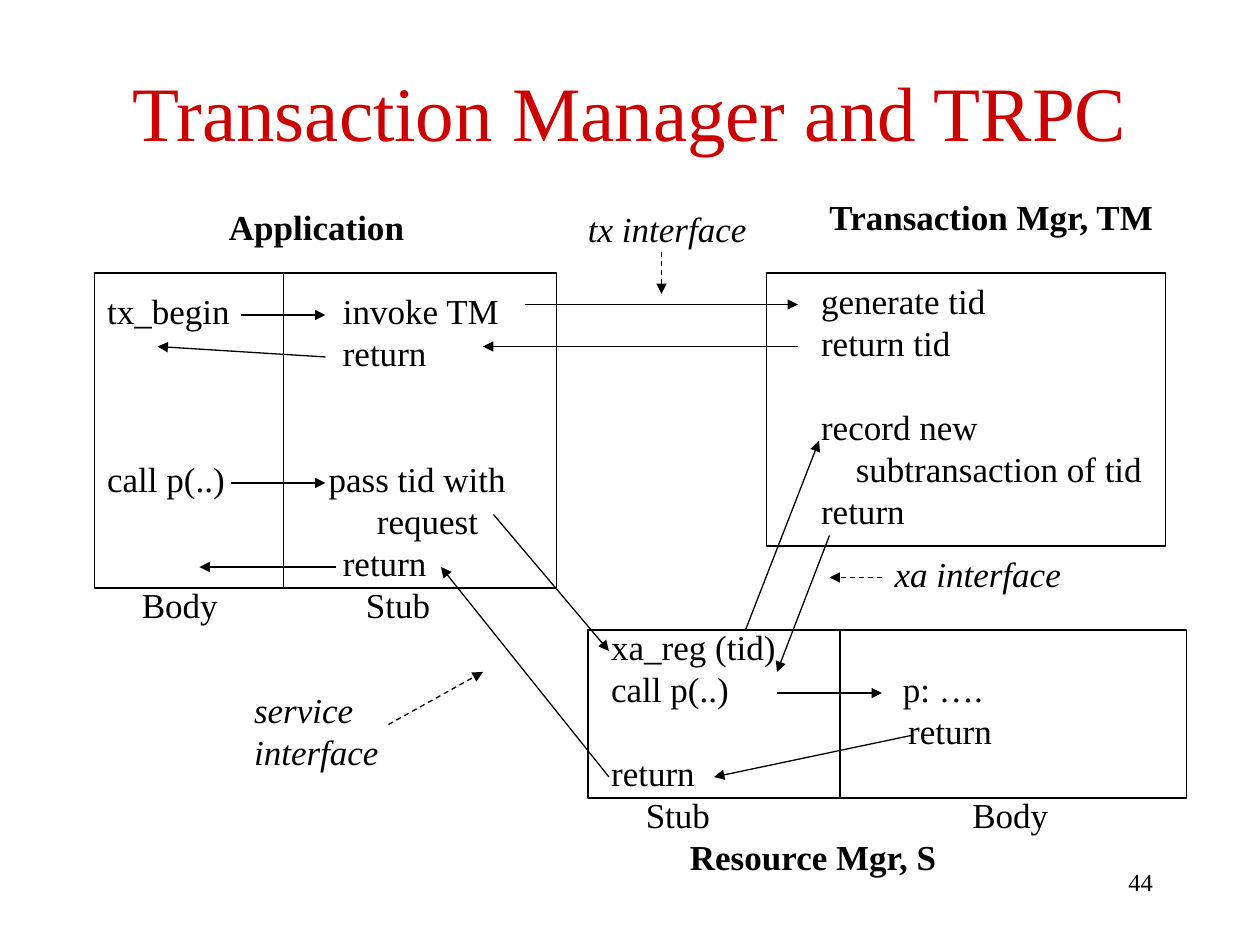
from dataclasses import dataclass

from lxml import etree
from pptx import Presentation
from pptx import util as u
from pptx.dml.color import RGBColor
from pptx.enum import dml, shapes, text
from pptx.oxml.ns import qn

BLACK = RGBColor(0x00, 0x00, 0x00)
RED = RGBColor(0xCC, 0x00, 0x00)
FONT = "Times New Roman"
SLIDE_WIDTH, SLIDE_HEIGHT = u.Inches(10), u.Inches(7.5)
COLUMNS, ROWS = 120, 90
LINE_PITCH = 24


@dataclass(frozen=True)
class Line:
    text: str
    indent: float = 0
    skipped: int = 0
    bold: bool = False


@dataclass(frozen=True)
class Passage:
    column: float
    row: float
    width: float
    lines: tuple[Line, ...]
    italic: bool = False


@dataclass(frozen=True)
class Module:
    column: float
    row: float
    width: float
    height: float
    divider: float | None = None


@dataclass(frozen=True)
class Arrow:
    start: tuple[float, float]
    end: tuple[float, float]
    dashed: bool = False


MODULES = (
    Module(9, 26, 44, 30, divider=27),
    Module(73, 26, 38, 26),
    Module(56, 60, 57, 16, divider=80),
)

PASSAGES = (
    Passage(21.8, 19.6, 24, (Line("Application", bold=True),)),
    Passage(10.2, 27.6, 16, (
        Line("tx_begin"),
        Line("call p(..)", skipped=3),
        Line("Body", indent=3.3, skipped=2),
    )),
    Passage(31.3, 27.6, 21, (
        Line("invoke TM", indent=1.35),
        Line("return", indent=1.35),
        Line("pass tid with", skipped=2),
        Line("request", indent=4.6),
        Line("return", indent=1.35),
        Line("Stub", indent=3.55),
    )),
    Passage(79, 18.6, 36, (Line("Transaction Mgr, TM", bold=True),)),
    Passage(78.2, 26.6, 34, (
        Line("generate tid"),
        Line("return tid"),
        Line("record new", skipped=1),
        Line("subtransaction of tid", indent=3.3),
        Line("return"),
    )),
    Passage(58.2, 59.6, 34, (
        Line("xa_reg (tid)"),
        Line("call p(..)"),
        Line("return", skipped=1),
        Line("Stub", indent=3.3),
        Line("Resource Mgr, S", indent=7.5, bold=True),
    )),
    Passage(86, 63.6, 22, (
        Line("p: …."),
        Line("return", indent=0.5),
        Line("Body", indent=6.6, skipped=1),
    )),
    Passage(24.2, 65.6, 14, (Line("service"), Line("interface")), italic=True),
    Passage(85.2, 52.6, 19, (Line("xa interface"),), italic=True),
    Passage(56, 19.8, 18, (Line("tx interface"),), italic=True),
)

ARROWS = (
    Arrow((23, 30), (31, 30)),
    Arrow((50, 29), (76, 29)),
    Arrow((76, 33), (46, 33)),
    Arrow((31, 34), (15, 33)),
    Arrow((22, 46), (31, 46)),
    Arrow((47, 49), (58, 62)),
    Arrow((71, 60), (78, 42)),
    Arrow((79, 51), (74, 64)),
    Arrow((74, 66), (84, 66)),
    Arrow((87, 70), (68, 74)),
    Arrow((58, 74), (42, 54)),
    Arrow((32, 54), (19, 54)),
    Arrow((63, 24), (63, 28), dashed=True),
    Arrow((84, 55), (79, 55), dashed=True),
    Arrow((37, 69), (46, 64), dashed=True),
)


def across(columns: float) -> int:
    return round(SLIDE_WIDTH * columns / COLUMNS)


def down(rows: float) -> int:
    return round(SLIDE_HEIGHT * rows / ROWS)


def add_frame(slide, column: float, row: float, width: float, height: float):
    box = slide.shapes.add_textbox(across(column), down(row), across(width), down(height))
    frame = box.text_frame
    frame.word_wrap = True
    frame.margin_left = frame.margin_right = frame.margin_top = frame.margin_bottom = 0
    return frame


def write(paragraph, content: str, *, size: float = 20, color: RGBColor = BLACK,
          bold: bool = False, italic: bool = False, align=text.PP_ALIGN.LEFT) -> None:
    paragraph.alignment = align
    run = paragraph.add_run()
    run.text = content
    font = run.font
    font.name, font.size, font.bold, font.italic = FONT, u.Pt(size), bold, italic
    font.color.rgb = color


def draw_passage(slide, passage: Passage) -> None:
    height = 4 * sum(1 + line.skipped for line in passage.lines)
    frame = add_frame(slide, passage.column, passage.row, passage.width, height)
    for index, line in enumerate(passage.lines):
        paragraph = frame.add_paragraph() if index else frame.paragraphs[0]
        paragraph.line_spacing = u.Pt(LINE_PITCH)
        paragraph.space_before = u.Pt(LINE_PITCH * line.skipped)
        properties = paragraph._p.get_or_add_pPr()
        properties.set("marL", str(across(line.indent)))
        properties.set("indent", "0")
        write(paragraph, line.text, bold=line.bold, italic=passage.italic)


def draw_line(slide, start: tuple[float, float], end: tuple[float, float]):
    connector = slide.shapes.add_connector(
        shapes.MSO_CONNECTOR.STRAIGHT,
        across(start[0]), down(start[1]), across(end[0]), down(end[1]))
    connector.line.color.rgb = BLACK
    connector.line.width = u.Pt(0.75)
    etree.SubElement(connector._element.spPr, qn("a:effectLst"))
    return connector


def draw_module(slide, module: Module) -> None:
    shape = slide.shapes.add_shape(
        shapes.MSO_SHAPE.RECTANGLE, across(module.column), down(module.row),
        across(module.width), down(module.height))
    shape.shadow.inherit = False
    shape.fill.background()
    shape.line.color.rgb = BLACK
    shape.line.width = u.Pt(0.75)
    if module.divider is not None:
        draw_line(slide, (module.divider, module.row),
                  (module.divider, module.row + module.height))


def draw_arrow(slide, arrow: Arrow) -> None:
    line = draw_line(slide, arrow.start, arrow.end).line
    if arrow.dashed:
        line.dash_style = dml.MSO_LINE.DASH
    etree.SubElement(line._get_or_add_ln(), qn("a:tailEnd"), type="triangle")


def main() -> None:
    presentation = Presentation()
    presentation.slide_width, presentation.slide_height = SLIDE_WIDTH, SLIDE_HEIGHT
    slide = presentation.slides.add_slide(presentation.slide_layouts[6])
    title = add_frame(slide, 9, 3, 102, 15)
    title.vertical_anchor = text.MSO_ANCHOR.MIDDLE
    write(title.paragraphs[0], "Transaction Manager and TRPC", size=44, color=RED,
          align=text.PP_ALIGN.CENTER)
    for module in MODULES:
        draw_module(slide, module)
    for passage in PASSAGES:
        draw_passage(slide, passage)
    for arrow in ARROWS:
        draw_arrow(slide, arrow)
    number = add_frame(slide, 86, 82.6, 23.8, 5)
    write(number.paragraphs[0], "44", size=14, align=text.PP_ALIGN.RIGHT)
    presentation.save("out.pptx")


if __name__ == "__main__":
    main()
